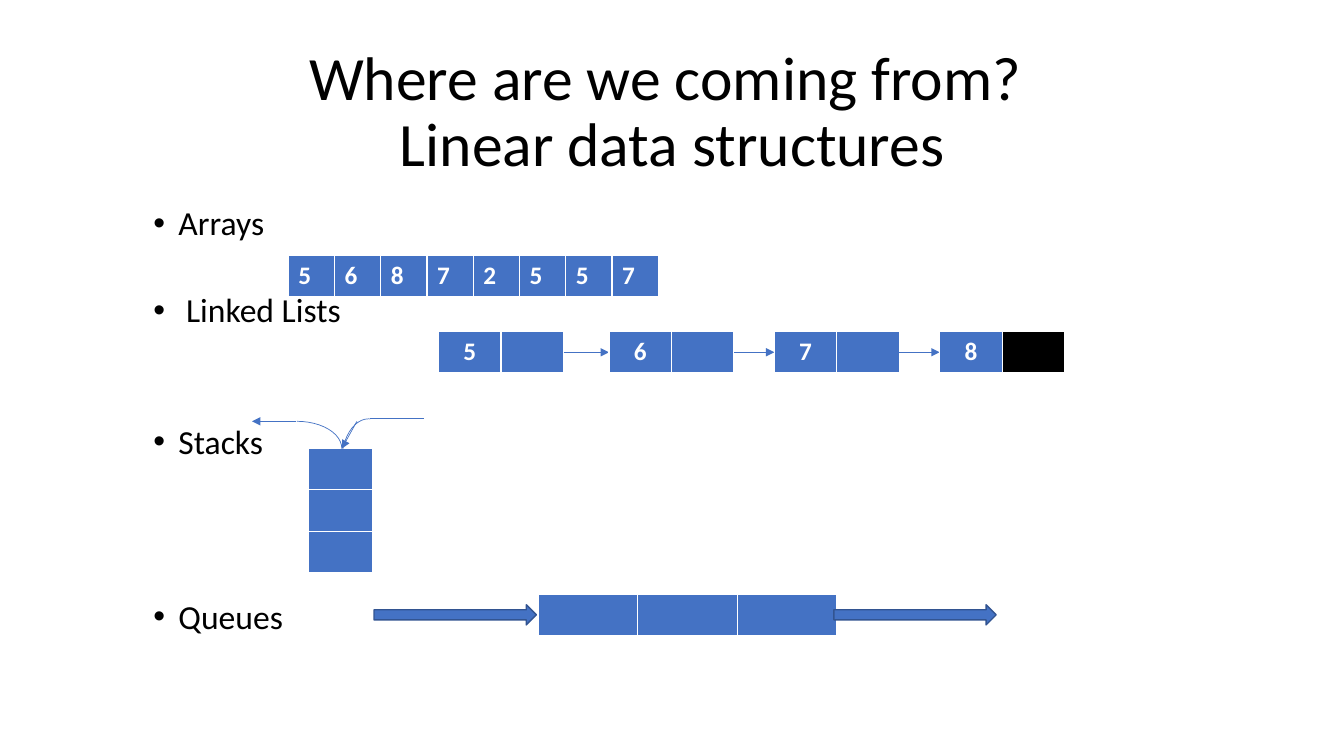
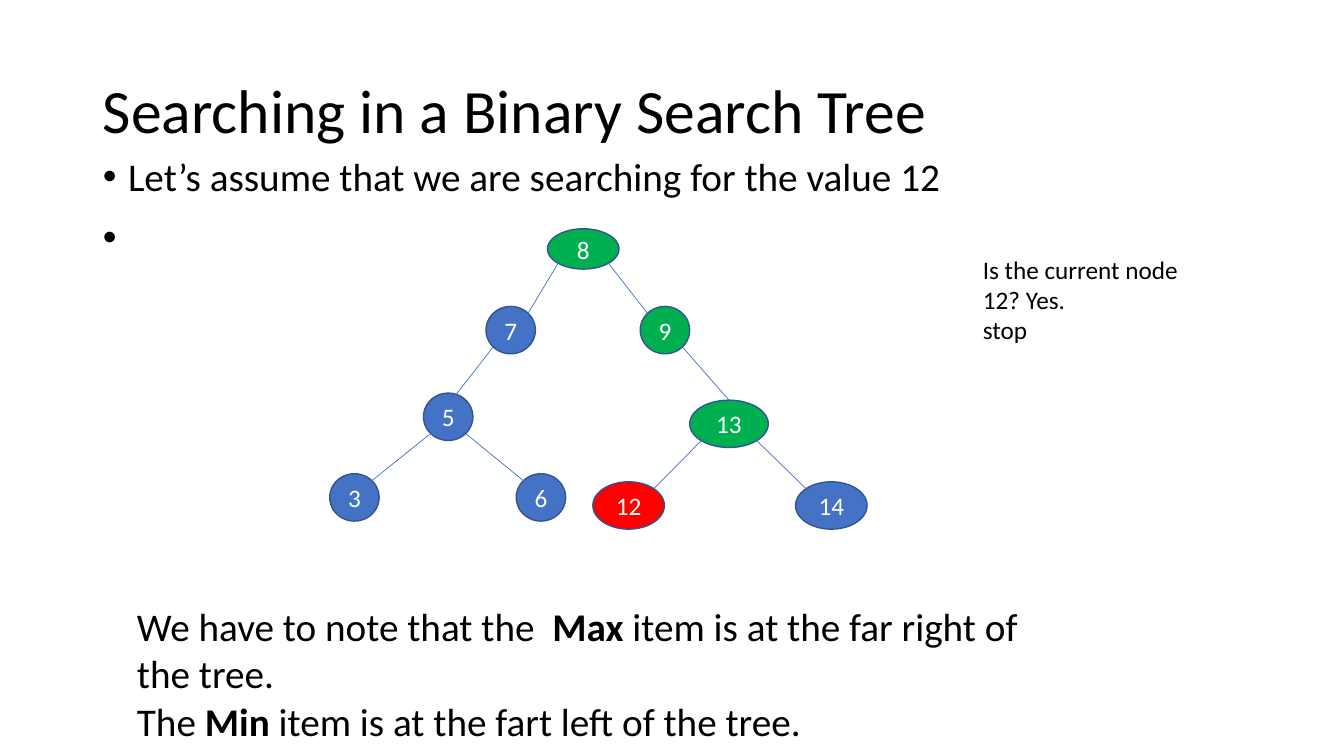
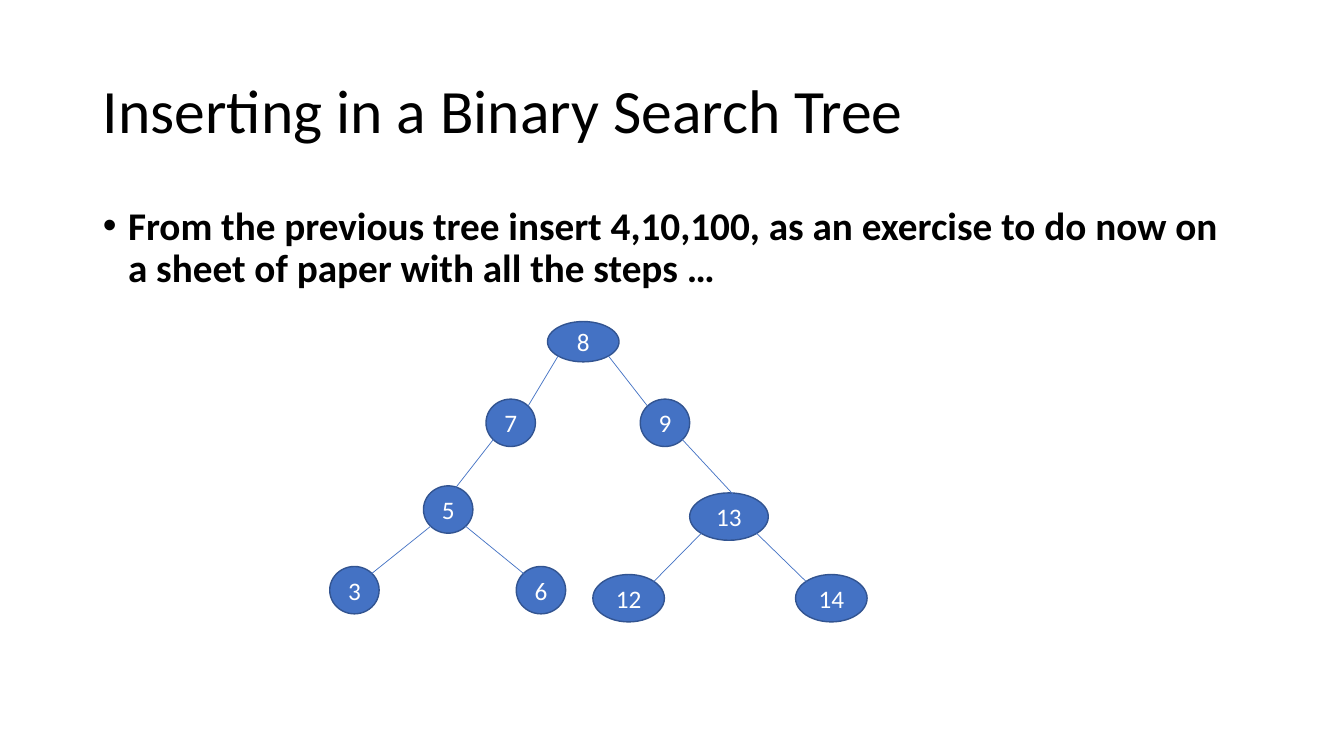
from pptx import Presentation
from pptx.dml.color import RGBColor
from pptx.enum.shapes import MSO_CONNECTOR, MSO_SHAPE
from pptx.enum.text import MSO_ANCHOR, MSO_AUTO_SIZE, PP_ALIGN
from pptx.oxml.ns import qn
from pptx.util import Inches, Pt
from lxml import etree

# Shared style
FONT = "Calibri"
COLORS = {"blue": "4472C4", "outline": "325491", "green": "00B050",
          "red": "FF0000", "black": "000000", "white": "FFFFFF"}
TITLE_BOX = (0.92, 0.4, 11.5, 1.45)
ROW_HEIGHT = 0.41

# Linear data structures: bullet text and number of lines left free above it
STRUCTURES = [("Arrays", 0), (" Linked Lists", 1), ("Stacks", 2), ("Queues", 3)]
LINE_PITCH = 31.4
ARRAY_VALUES = ["5", "6", "8", "7", "2", "5", "5", "7"]
LIST_NODES = [("5", 4.35), ("6", 6.04), ("7", 7.68), ("8", 9.32)]
LIST_TOP, LIST_WIDTH = 3.29, 1.24
QUEUE_ARROWS = [3.71, 8.27]

# Binary search tree: left, top, width, height of each node
TREE = {
    "8": (5.43, 2.27, 0.71, 0.4),
    "9": (6.35, 3.04, 0.49, 0.47),
    "7": (4.82, 3.04, 0.49, 0.47),
    "5": (4.2, 3.9, 0.49, 0.47),
    "6": (5.12, 4.7, 0.49, 0.47),
    "3": (3.27, 4.7, 0.49, 0.47),
    "13": (6.84, 3.97, 0.78, 0.47),
    "14": (7.89, 4.78, 0.71, 0.47),
    "12": (5.88, 4.78, 0.71, 0.47),
}
# Parent, child, side of the child (-1 left, 1 right)
EDGES = [("8", "7", -1), ("8", "9", 1), ("5", "3", -1), ("5", "6", 1),
         ("7", "5", -1), ("13", "12", -1), ("13", "14", 1), ("9", "13", 1)]
DIAGONAL = 0.35  # share of an ellipse's size from its centre to its 45° point
SEARCH_PATH = {"8": "green", "9": "green", "13": "green", "12": "red"}
SEARCH_BULLETS = ["Let’s assume that we are searching for the value 12", " "]
SEARCH_STEP = [[("Is the current node 12? Yes.", False)], [("stop", False)]]
SEARCH_NOTE = [
    [("We have to note that the ", False), (" Max ", True),
     ("item is at the far right of the tree.", False)],
    [("The ", False), ("Min ", True),
     ("item is at the fart left of the tree.", False)],
]
INSERT_BULLET = ("From the previous tree insert 4,10,100, as an exercise to do now on "
                 "a sheet of paper with all the steps …")


def color(name):
    return RGBColor.from_string(COLORS[name])


def inches(*lengths):
    return [Inches(length) for length in lengths]


def style_runs(paragraph, size, color_name="black", bold=False):
    for run in paragraph.runs:
        run.font.name = FONT
        run.font.size = Pt(size)
        run.font.bold = bold
        run.font.color.rgb = color(color_name)


def place(shape, box):
    shape.left, shape.top, shape.width, shape.height = inches(*box)


def add_slide(presentation, title, align=PP_ALIGN.LEFT):
    slide = presentation.slides.add_slide(presentation.slide_layouts[1])
    place(slide.shapes.title, TITLE_BOX)
    frame = slide.shapes.title.text_frame
    frame.text = title
    frame.auto_size = MSO_AUTO_SIZE.NONE
    frame.vertical_anchor = MSO_ANCHOR.MIDDLE
    paragraph = frame.paragraphs[0]
    paragraph.alignment = align
    paragraph.line_spacing = 0.9
    style_runs(paragraph, 44)
    return slide


def fill_body(slide, box, items, size, level=0, spacing=0.9, bold=False):
    """Items are pairs of bullet text and space before in points."""
    body = slide.placeholders[1]
    place(body, box)
    frame = body.text_frame
    frame.text = "\n".join(text for text, _ in items)
    frame.auto_size = MSO_AUTO_SIZE.NONE
    for paragraph, (_, space_before) in zip(frame.paragraphs, items):
        paragraph.level = level
        properties = paragraph._p.get_or_add_pPr()
        properties.set("marL", str(Inches(0.25 + 0.5 * level)))
        properties.set("indent", str(Inches(-0.25)))
        etree.SubElement(properties, qn("a:buFont")).set("typeface", "Arial")
        etree.SubElement(properties, qn("a:buChar")).set("char", "•")
        paragraph.line_spacing = spacing
        paragraph.space_before = Pt(space_before)
        style_runs(paragraph, size, bold=bold)


def add_text(slide, box, paragraphs, size):
    frame = slide.shapes.add_textbox(*inches(*box)).text_frame
    frame.word_wrap = True
    frame.auto_size = MSO_AUTO_SIZE.SHAPE_TO_FIT_TEXT
    for index, runs in enumerate(paragraphs):
        paragraph = frame.add_paragraph() if index else frame.paragraphs[0]
        for text, bold in runs:
            run = paragraph.add_run()
            run.text = text
        style_runs(paragraph, size)
        for run, (_, bold) in zip(paragraph.runs, runs):
            run.font.bold = bold


def add_cells(slide, left, top, width, rows, align=PP_ALIGN.LEFT, fills=None):
    """Fills maps a column to a colour other than blue."""
    box = inches(left, top, width, ROW_HEIGHT * len(rows))
    table = slide.shapes.add_table(len(rows), len(rows[0]), *box).table
    for row_index, row in enumerate(rows):
        for column, text in enumerate(row):
            cell = table.cell(row_index, column)
            cell.fill.solid()
            cell.fill.fore_color.rgb = color((fills or {}).get(column, "blue"))
            if text:
                cell.text_frame.text = text
                paragraph = cell.text_frame.paragraphs[0]
                paragraph.alignment = align
                style_runs(paragraph, 18, "white", bold=True)


def add_line(slide, start, end, arrow=False):
    line = slide.shapes.add_connector(MSO_CONNECTOR.STRAIGHT, *inches(*start, *end))
    line.line.color.rgb = color("blue")
    line.line.width = Pt(0.5)
    if arrow:
        outline = line.line._get_or_add_ln()
        etree.SubElement(outline, qn("a:tailEnd")).set("type", "triangle")
    etree.SubElement(line._element.spPr, qn("a:effectLst"))


def add_filled(slide, kind, box, fill="blue"):
    shape = slide.shapes.add_shape(kind, *inches(*box))
    shape.shadow.inherit = False
    shape.fill.solid()
    shape.fill.fore_color.rgb = color(fill)
    shape.line.color.rgb = color("outline")
    shape.line.width = Pt(1)
    return shape


def add_arc(slide, box):
    arc = slide.shapes.add_shape(MSO_SHAPE.ARC, *inches(*box))
    arc.shadow.inherit = False
    arc.fill.background()
    arc.line.color.rgb = color("blue")
    arc.line.width = Pt(0.5)
    return arc


def add_tree(slide, drop=0, fills=None, line_ends=None):
    """Line ends maps a child to where its line ends, as shares from its centre."""
    def point(value, share_x, share_y):
        left, top, width, height = TREE[value]
        return left + width * (0.5 + share_x), top + drop + height * (0.5 + share_y)

    for value, (left, top, width, height) in TREE.items():
        node = add_filled(slide, MSO_SHAPE.OVAL, (left, top + drop, width, height),
                          (fills or {}).get(value, "blue"))
        node.text_frame.text = value
        node.text_frame.vertical_anchor = MSO_ANCHOR.MIDDLE
        paragraph = node.text_frame.paragraphs[0]
        paragraph.alignment = PP_ALIGN.CENTER
        style_runs(paragraph, 18, "white")
    for parent, child, side in EDGES:
        end = (line_ends or {}).get(child, (-side * DIAGONAL, -DIAGONAL))
        add_line(slide, point(parent, side * DIAGONAL, DIAGONAL), point(child, *end))


def build_structures(presentation):
    slide = add_slide(presentation, "Where are we coming from? \vLinear data structures",
                      PP_ALIGN.CENTER)
    items = [(text, 5 + LINE_PITCH * free if free else 0) for text, free in STRUCTURES]
    fill_body(slide, (0.92, 2, 11.5, 5.3), items, 24, level=1)

    # Array
    add_cells(slide, 2.86, 2.53, 3.67, [ARRAY_VALUES])

    # Linked list
    last = len(LIST_NODES) - 1
    middle = LIST_TOP + ROW_HEIGHT / 2
    for index, (value, left) in enumerate(LIST_NODES):
        add_cells(slide, left, LIST_TOP, LIST_WIDTH, [[value, ""]], PP_ALIGN.CENTER,
                  {1: "black"} if index == last else None)
        if index < last:
            add_line(slide, (left + LIST_WIDTH, middle),
                     (LIST_NODES[index + 1][1], middle), arrow=True)

    # Stack, with the way out on the left and the way in on the right
    add_cells(slide, 3.06, 4.45, 0.64, [[""]] * 3)
    add_arc(slide, (2.5, 4.18, 0.89, 0.54))
    add_line(slide, (2.94, 4.18), (2.5, 4.18), arrow=True)
    way_in = add_arc(slide, (3.21, 4.33, 0.89, 0.54))
    way_in.rotation = 270
    way_in.adjustments[1] = 1.31
    add_line(slide, (3.67, 4.15), (4.21, 4.15))
    add_line(slide, (3.54, 4.18), (3.39, 4.45), arrow=True)

    # Queue
    add_cells(slide, 5.34, 5.9, 2.96, [[""] * 3])
    for left in QUEUE_ARROWS:
        add_filled(slide, MSO_SHAPE.RIGHT_ARROW, (left, 6, 1.61, 0.2))


def build_search(presentation):
    slide = add_slide(presentation, "Searching in a Binary Search Tree")
    items = [(text, 10 if index else 0) for index, text in enumerate(SEARCH_BULLETS)]
    fill_body(slide, (0.92, 1.46, 11.5, 4.76), items, 28, spacing=1.0)
    add_tree(slide, fills=SEARCH_PATH,
             line_ends={"5": (0.07, -DIAGONAL), "13": (0, -0.5)})
    add_text(slide, (9.65, 2.47, 2.39, 1.01), SEARCH_STEP, 18)
    add_text(slide, (1.26, 5.93, 9.54, 1.51), SEARCH_NOTE, 28)


def build_insert(presentation):
    slide = add_slide(presentation, "Inserting in a Binary Search Tree")
    fill_body(slide, (0.92, 2, 11.5, 4.76), [(INSERT_BULLET, 0)], 28, bold=True)
    add_tree(slide, drop=0.92,
             line_ends={"5": (0.07, -DIAGONAL), "13": (0.12, -DIAGONAL)})


def main():
    presentation = Presentation()
    presentation.slide_width, presentation.slide_height = inches(13.33, 7.5)
    build_structures(presentation)
    build_search(presentation)
    build_insert(presentation)
    presentation.save("out.pptx")


if __name__ == "__main__":
    main()
